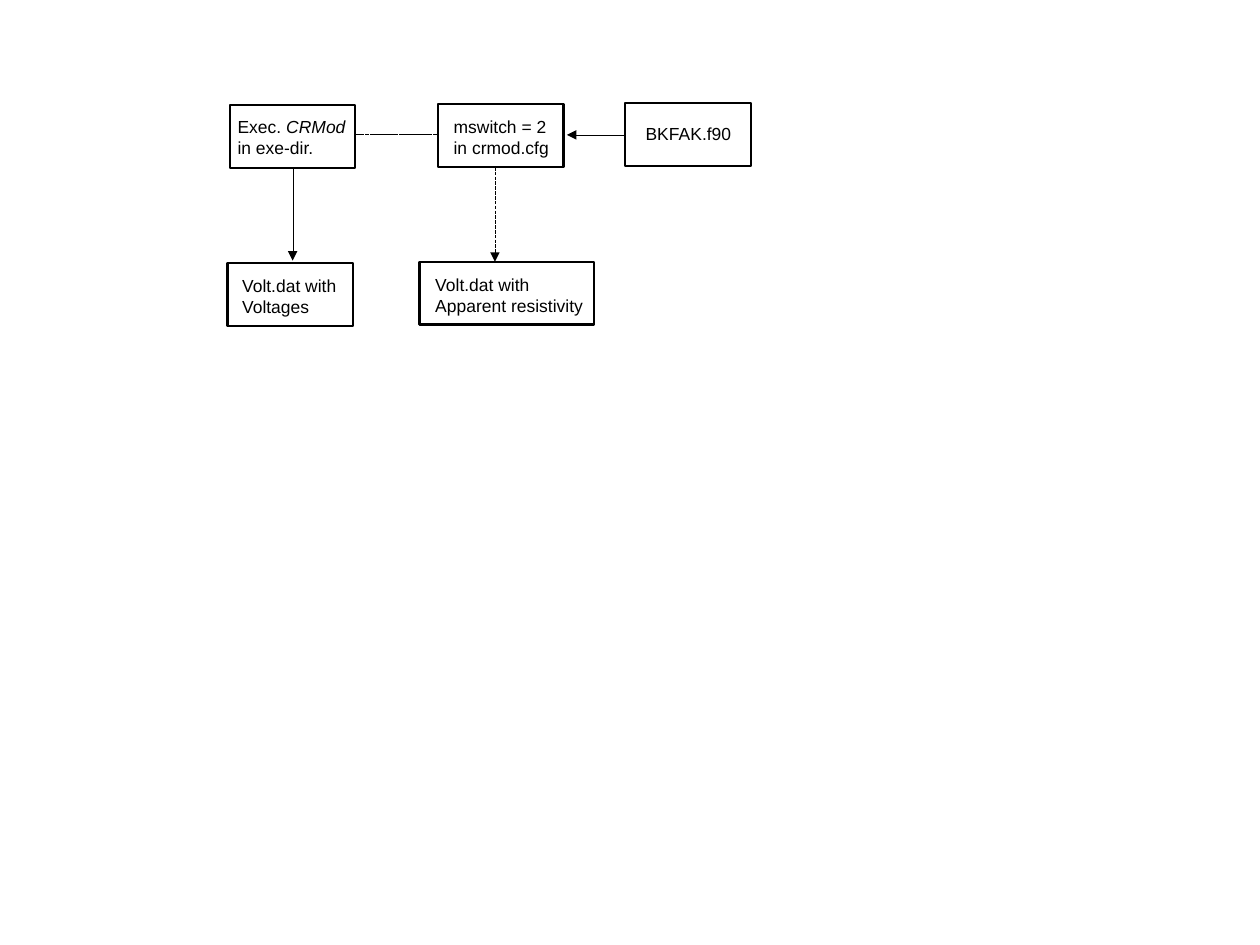
from lxml import etree
from pptx import Presentation
from pptx.dml.color import RGBColor
from pptx.enum import dml, shapes, text
from pptx.oxml import ns
from pptx.util import Inches, Pt

COLORS = {"ink": "000000"}
FONT = "Arial"
BOX_HEIGHT = 0.55
BOX_WIDTH = 1.1
CM_PER_INCH = 2.54


def ink():
    return RGBColor.from_string(COLORS["ink"])


def add_label(page, lines, left, top, width, height=0.44, size=11):
    """Each line is a list of (words, italic) spans."""
    box = page.shapes.add_textbox(*map(Inches, (left, top, width, height)))
    frame = box.text_frame
    frame.word_wrap = False
    frame.auto_size = text.MSO_AUTO_SIZE.SHAPE_TO_FIT_TEXT
    for index, spans in enumerate(lines):
        para = frame.add_paragraph() if index else frame.paragraphs[0]
        for words, italic in spans:
            span = para.add_run()
            span.text = words
            span.font.name = FONT
            span.font.size = Pt(size)
            span.font.italic = italic
            span.font.color.rgb = ink()


def add_frame(page, left, top, width=BOX_WIDTH):
    frame = page.shapes.add_shape(
        shapes.MSO_SHAPE.RECTANGLE,
        *map(Inches, (left, top, width, BOX_HEIGHT)))
    frame.shadow.inherit = False
    frame.fill.background()
    frame.line.color.rgb = ink()
    frame.line.width = Pt(1.42)


def add_link(page, start, end, dashed=False, arrow=True):
    """Draw a hairline; its zero width has to be written out in the XML."""
    link = page.shapes.add_connector(
        shapes.MSO_CONNECTOR.STRAIGHT, *map(Inches, start + end))
    link.line.color.rgb = ink()
    if dashed:
        link.line.dash_style = dml.MSO_LINE.SQUARE_DOT
    outline = link._element.spPr.find(ns.qn("a:ln"))
    outline.set("w", "0")
    if arrow:
        etree.SubElement(outline, ns.qn("a:tailEnd"),
                         type="triangle", w="med", len="med")
    etree.SubElement(link._element.spPr, ns.qn("a:effectLst"))


def plain(*lines):
    return [[(line, False)] for line in lines]


def main():
    deck = Presentation()
    deck.slide_width = Inches(28 / CM_PER_INCH)
    deck.slide_height = Inches(21 / CM_PER_INCH)
    page = deck.slides.add_slide(deck.slide_layouts[6])

    run_step = [[("Exec. ", False), ("CRMod", True)], [("in exe-dir.", False)]]
    add_label(page, run_step, 1.98, 0.97, 1.2)
    add_frame(page, 2.01, 0.92)
    add_link(page, (2.56, 1.47), (2.56, 2.28))

    add_label(page, plain("Volt.dat with", "Voltages"), 2.02, 2.36, 1.06)
    add_frame(page, 1.99, 2.3)

    add_label(page, plain("Volt.dat with", "Apparent resistivity"),
              3.71, 2.35, 1.53)
    add_frame(page, 3.67, 2.29, width=1.53)

    add_link(page, (3.11, 1.18), (3.83, 1.18), dashed=True, arrow=False)
    add_link(page, (4.33, 1.46), (4.33, 2.29), dashed=True)

    add_label(page, plain("mswitch = 2", "in crmod.cfg"), 3.87, 0.97, 1.07)
    add_frame(page, 3.83, 0.91)

    add_label(page, plain("BKFAK.f90"), 5.55, 1.03, 0.95, height=0.27)
    add_frame(page, 5.47, 0.9)
    add_link(page, (5.47, 1.18), (4.96, 1.18))

    deck.save("out.pptx")


if __name__ == "__main__":
    main()
